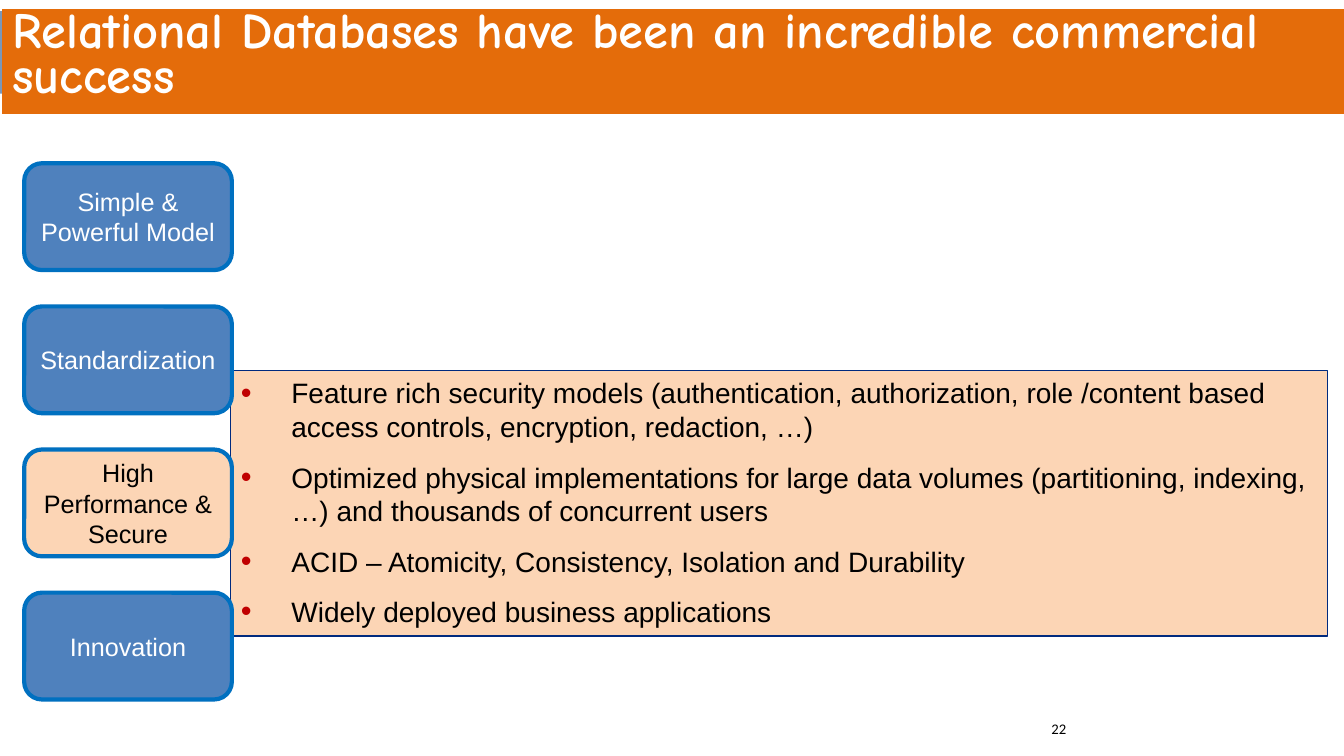
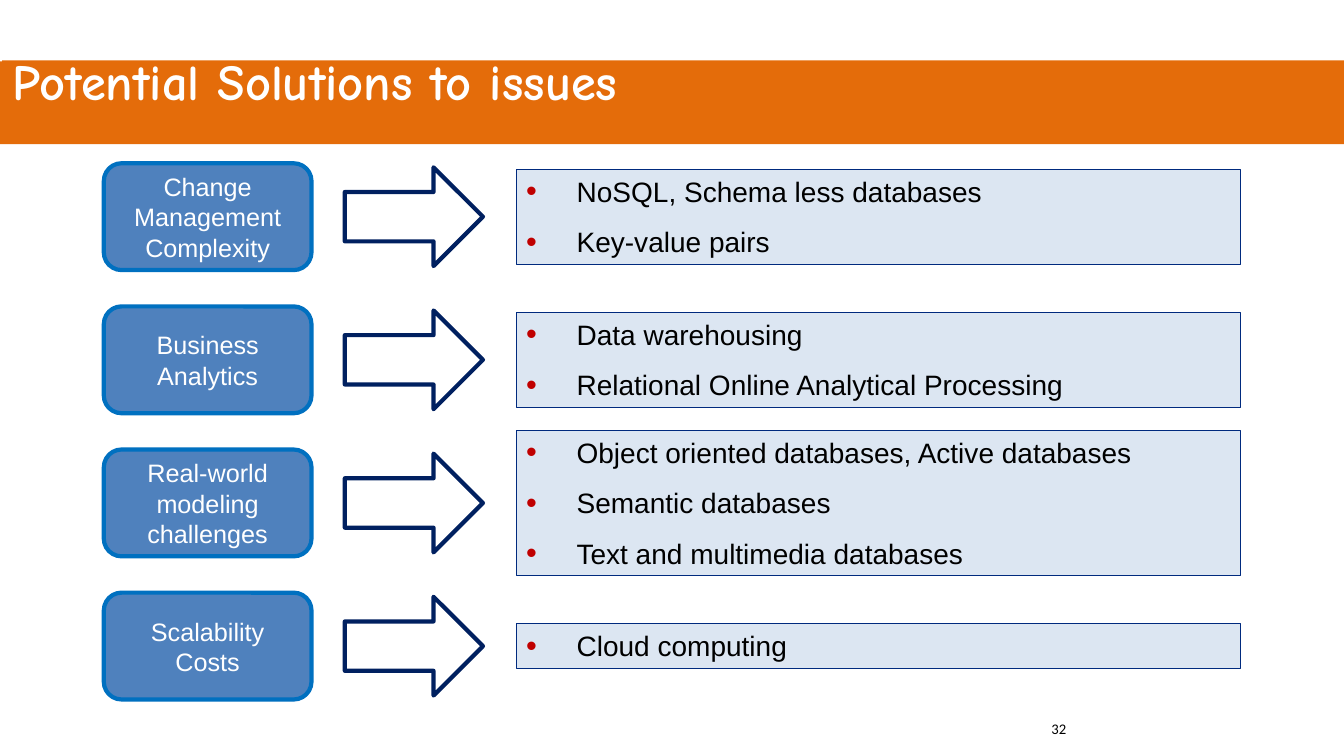
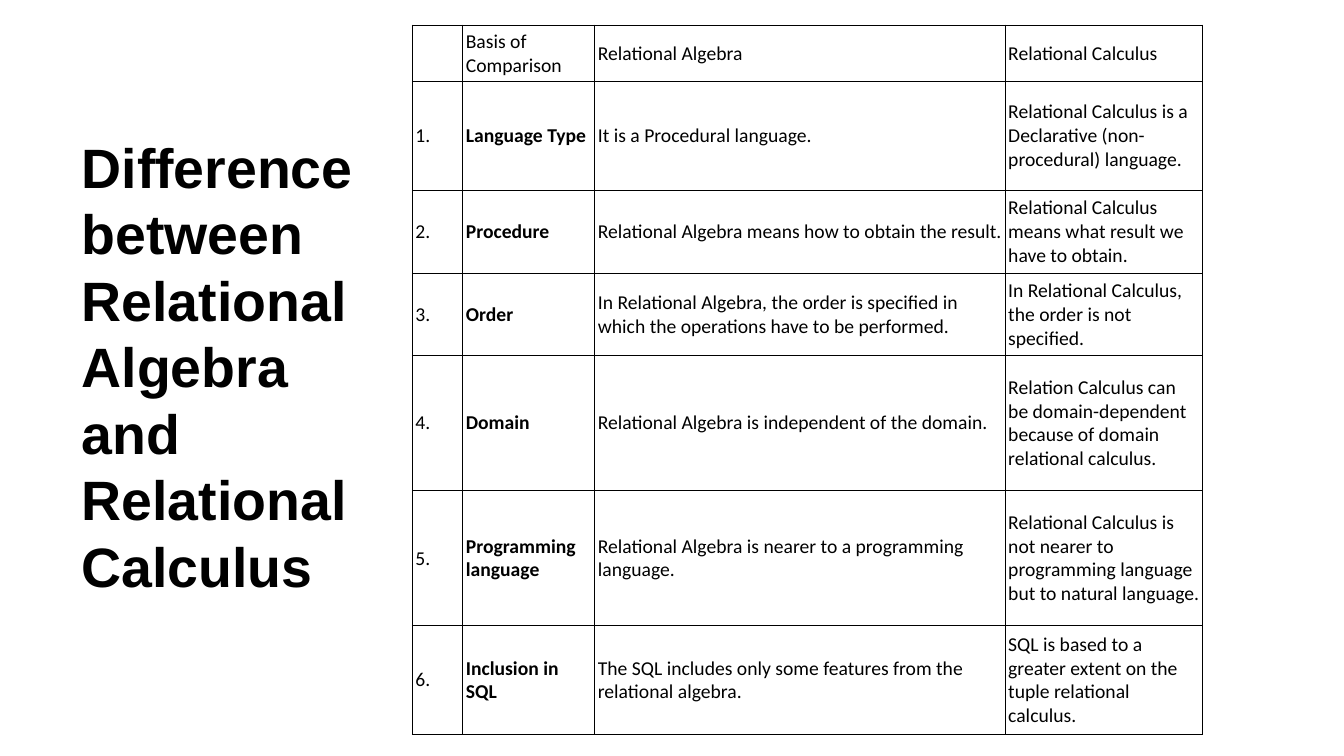
from lxml import etree
from pptx import Presentation
from pptx.dml.color import RGBColor
from pptx.enum.shapes import MSO_SHAPE
from pptx.enum.text import MSO_ANCHOR, MSO_AUTO_SIZE, PP_ALIGN
from pptx.oxml.ns import qn
from pptx.util import Inches, Pt

RECT, ROUND_RECT = MSO_SHAPE.RECTANGLE, MSO_SHAPE.ROUNDED_RECTANGLE
RIGHT_ARROW = MSO_SHAPE.RIGHT_ARROW
TOP, MIDDLE = MSO_ANCHOR.TOP, MSO_ANCHOR.MIDDLE
LEFT, CENTER = PP_ALIGN.LEFT, PP_ALIGN.CENTER
NO_AUTOFIT = MSO_AUTO_SIZE.NONE

BLACK = RGBColor(0x00, 0x00, 0x00)
WHITE = RGBColor(0xFF, 0xFF, 0xFF)
ORANGE = RGBColor(0xE4, 0x6C, 0x0A)
PEACH = RGBColor(0xFC, 0xD5, 0xB5)
STEEL = RGBColor(0x7A, 0x97, 0xBA)
BLUE = RGBColor(0x4F, 0x81, 0xBD)
EDGE_BLUE = RGBColor(0x00, 0x70, 0xC0)
PALE_BLUE = RGBColor(0xDC, 0xE6, 0xF2)
LIST_EDGE = RGBColor(0x00, 0x2A, 0x7E)
NAVY = RGBColor(0x00, 0x20, 0x60)
BULLET_RED = RGBColor(0xC0, 0x00, 0x00)

BANNER_FONT = dict(name="Comic Neue", size=Pt(36), bold=True, color=WHITE)
HEADING_FONT = dict(name="Arial", size=Pt(39.6), bold=True, color=BLACK)
LIST_FONT = dict(name="Arial", size=Pt(20), color=BLACK)
TOPIC_FONT = dict(name="Arial", size=Pt(18), color=WHITE)
NUMBER_FONT = dict(name="Calibri", size=Pt(10.5), color=BLACK)
CELL_FONT = dict(name="Calibri", size=Pt(14), color=BLACK, bold=False)

SLIDE_W = 13.33
TOPIC_W, TOPIC_H = 2.06, 1.06
ROW_TOP, ROW_STEP = 1.62, 1.42
ARROW_H = 0.98
LIST_LINE_H, LIST_STEP = 0.44, 0.5

TITLE_AND_CONTENT, TITLE_ONLY = 1, 5


def row_middle(row):
    return ROW_TOP + row * ROW_STEP + TOPIC_H / 2


class Deck:
    """Holds the shared style and the slide being built."""

    def __init__(self):
        self.prs = Presentation()
        self.prs.slide_width, self.prs.slide_height = Inches(SLIDE_W), Inches(7.5)
        self.s = None

    def new_slide(self, layout):
        self.s = self.prs.slides.add_slide(self.prs.slide_layouts[layout])

    def place(self, sp, at):
        for name, value in zip(("left", "top", "width", "height"), at):
            setattr(sp, name, Inches(value))

    def add_text(self, p, text, style):
        r = p.add_run()
        r.text = text
        for name, value in style.items():
            if name == "color":
                r.font.color.rgb = value
            else:
                setattr(r.font, name, value)

    def paint(self, sp, fill=None, line=None, width=0.75):
        if fill is None:
            sp.fill.background()
        else:
            sp.fill.solid()
            sp.fill.fore_color.rgb = fill
        if line is None:
            sp.line.fill.background()
        else:
            sp.line.color.rgb = line
            sp.line.width = Pt(width)

    def shape(self, kind, at, **look):
        sp = self.s.shapes.add_shape(kind, *map(Inches, at))
        sp.shadow.inherit = False
        self.paint(sp, **look)
        return sp

    def title(self, text, at, style, anchor, spacing):
        sp = self.s.shapes.title
        self.place(sp, at)
        tf = sp.text_frame
        tf.auto_size, tf.word_wrap = NO_AUTOFIT, True
        tf.vertical_anchor = anchor
        p = tf.paragraphs[0]
        p.alignment, p.line_spacing = LEFT, Pt(spacing)
        self.add_text(p, text, style)
        return sp

    def banner(self, text, top, height, band_top, band_color):
        """Title on an orange bar, with a full-width band behind it."""
        sp = self.title(text, (0.02, top, SLIDE_W - 0.02, height), BANNER_FONT, TOP, 32)
        self.paint(sp, ORANGE)
        band = self.shape(RECT, (0, band_top, SLIDE_W, 0.82), fill=band_color)
        sp.element.addprevious(band.element)

    def number(self, text):
        sp = self.s.shapes.add_textbox(*map(Inches, (10.33, 7.09, 3, 0.4)))
        sp.text_frame.word_wrap = True
        self.add_text(sp.text_frame.paragraphs[0], text, NUMBER_FONT)

    def topic(self, text, left, row, fill=BLUE, color=WHITE):
        sp = self.shape(ROUND_RECT, (left, ROW_TOP + row * ROW_STEP, TOPIC_W, TOPIC_H),
                        fill=fill, line=EDGE_BLUE, width=3)
        tf = sp.text_frame
        tf.word_wrap, tf.vertical_anchor = True, MIDDLE
        tf.paragraphs[0].alignment = CENTER
        self.add_text(tf.paragraphs[0], text, {**TOPIC_FONT, "color": color})

    def arrow(self, left, row):
        self.shape(RIGHT_ARROW, (left, row_middle(row) - ARROW_H / 2, 1.37, ARROW_H),
                   line=NAVY, width=3)

    def bullet(self, p):
        pPr = p._p.get_or_add_pPr()
        pPr.set("marL", str(Inches(0.5)))
        pPr.set("indent", str(-Inches(0.5)))
        color = etree.SubElement(pPr, qn("a:buClr"))
        etree.SubElement(color, qn("a:srgbClr"), val=str(BULLET_RED))
        etree.SubElement(pPr, qn("a:buSzPct"), val="110000")
        etree.SubElement(pPr, qn("a:buFont"), typeface="Arial")
        etree.SubElement(pPr, qn("a:buChar"), char="•")

    def fill_list(self, sp, items):
        tf = sp.text_frame
        tf.auto_size, tf.word_wrap = NO_AUTOFIT, True
        tf.vertical_anchor = TOP
        for i, item in enumerate(items):
            p = tf.add_paragraph() if i else tf.paragraphs[0]
            self.bullet(p)
            p.alignment = LEFT
            p.space_before, p.space_after = Pt(0), Pt(12)
            self.add_text(p, item, LIST_FONT)

    def body_list(self, items, at, fill):
        sp = self.s.placeholders[1]
        self.place(sp, at)
        self.paint(sp, fill, LIST_EDGE)
        self.fill_list(sp, items)

    def row_list(self, items, left, row):
        """Bulleted box, as high as its items, centred on its row."""
        height = LIST_LINE_H + LIST_STEP * (len(items) - 1)
        sp = self.shape(RECT, (left, row_middle(row) - height / 2, 7.18, height),
                        fill=PALE_BLUE, line=LIST_EDGE)
        self.fill_list(sp, items)

    def cell_borders(self, cell):
        tcPr = cell._tc.get_or_add_tcPr()
        for side in ("lnL", "lnR", "lnT", "lnB"):
            ln = etree.SubElement(tcPr, qn("a:" + side), w=str(Pt(1)))
            fill = etree.SubElement(ln, qn("a:solidFill"))
            etree.SubElement(fill, qn("a:srgbClr"), val=str(BLACK))

    def table(self, rows, left, top, widths, heights):
        frame = self.s.shapes.add_table(len(rows), len(widths), Inches(left), Inches(top),
                                        Inches(sum(widths)), Inches(sum(heights)))
        table = frame.table
        table.first_row = table.horz_banding = False
        for column, width in zip(table.columns, widths):
            column.width = Inches(width)
        for row, height in zip(table.rows, heights):
            row.height = Inches(height)
        for i, texts in enumerate(rows):
            for j, text in enumerate(texts):
                cell = table.cell(i, j)
                self.cell_borders(cell)
                cell.fill.background()
                cell.vertical_anchor = MIDDLE
                cell.margin_left = cell.margin_right = Inches(0.03)
                cell.margin_top = cell.margin_bottom = Inches(0.01)
                if text:
                    self.add_text(cell.text_frame.paragraphs[0], text,
                                  {**CELL_FONT, "bold": i > 0 and j == 1})


def success_slide(deck):
    deck.new_slide(TITLE_AND_CONTENT)
    deck.banner("Relational Databases have been an incredible commercial success",
                0.09, 1.04, 0.11, STEEL)
    deck.body_list([
        "Feature rich security models (authentication, authorization, role /content based "
        "access controls, encryption, redaction, …)",
        "Optimized physical implementations for large data volumes (partitioning, indexing, "
        "…) and thousands of concurrent users",
        "ACID – Atomicity, Consistency, Isolation and Durability",
        "Widely deployed business applications",
    ], (2.29, 3.68, 10.88, 2.63), PEACH)
    topics = ["Simple & Powerful Model", "Standardization",
              "High Performance & Secure", "Innovation"]
    for row, text in enumerate(topics):
        look = dict(fill=PEACH, color=BLACK) if row == 2 else {}
        deck.topic(text, 0.24, row, **look)
    deck.number("22")


def solutions_slide(deck):
    deck.new_slide(TITLE_ONLY)
    deck.banner("Potential Solutions to issues", 0.6, 0.59, 0.61, ORANGE)
    solutions = [
        ("Change Management Complexity",
         ["NoSQL, Schema less databases", "Key-value pairs"]),
        ("Business Analytics",
         ["Data warehousing", "Relational Online Analytical Processing"]),
        ("Real-world modeling challenges",
         ["Object oriented databases, Active databases", "Semantic databases",
          "Text and multimedia databases"]),
        ("Scalability Costs", ["Cloud computing"]),
    ]
    for row, (issue, answers) in enumerate(solutions):
        deck.topic(issue, 1.03, row)
        deck.arrow(3.42, row)
        deck.row_list(answers, 5.12, row)
    deck.number("32")


def comparison_slide(deck):
    deck.new_slide(TITLE_ONLY)
    deck.title("Difference between Relational Algebra and Relational Calculus",
               (0.71, 1.25, 3.08, 4.75), HEADING_FONT, MIDDLE, 47.5)
    deck.table([
        ("", "Basis of Comparison", "Relational Algebra", "Relational Calculus"),
        ("1.", "Language Type", "It is a Procedural language.",
         "Relational Calculus is a Declarative (non-procedural) language."),
        ("2.", "Procedure", "Relational Algebra means how to obtain the result.",
         "Relational Calculus means what result we have to obtain."),
        ("3.", "Order",
         "In Relational Algebra, the order is specified in which the operations have to be "
         "performed.",
         "In Relational Calculus, the order is not specified."),
        ("4.", "Domain", "Relational Algebra is independent of the domain.",
         "Relation Calculus can be domain-dependent because of domain relational calculus."),
        ("5.", "Programming language",
         "Relational Algebra is nearer to a programming language.",
         "Relational Calculus is not nearer to programming language but to natural language."),
        ("6.", "Inclusion in SQL",
         "The SQL includes only some features from the relational algebra.",
         "SQL is based to a greater extent on the tuple relational calculus."),
    ], 4.09, 0.25, (0.5, 1.31, 4.07, 1.96), (0.56, 1.08, 0.82, 0.82, 1.34, 1.34, 1.08))


def main():
    deck = Deck()
    for build in (success_slide, solutions_slide, comparison_slide):
        build(deck)
    deck.prs.save("out.pptx")


if __name__ == "__main__":
    main()
